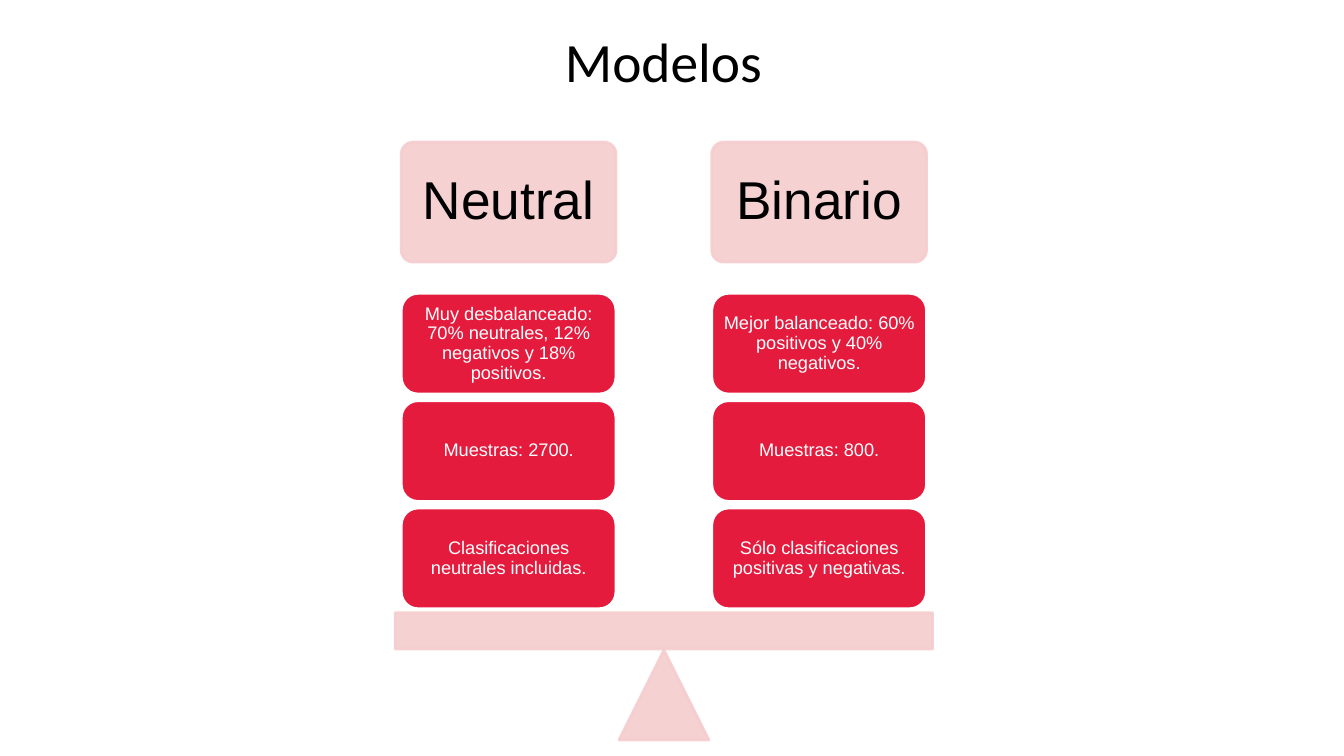
from lxml.etree import SubElement
from pptx import Presentation
from pptx.dml.color import RGBColor
from pptx.enum.shapes import MSO_SHAPE
from pptx.enum.text import MSO_ANCHOR, PP_ALIGN
from pptx.oxml.ns import qn
from pptx.util import Inches, Pt

PINK, RED, WHITE, BLACK = "F5CDCE", "E51B3E", "FFFFFF", "000000"
BLOCK_WIDTH = 2.13
ITEM_TOP, ITEM_STEP = 2.91, 1.065
COLUMNS = [
    (3.98, "Neutral", [
        "Muy desbalanceado: 70% neutrales, 12% negativos y 18% positivos.",
        "Muestras: 2700.",
        "Clasificaciones neutrales incluidas.",
    ]),
    (7.06, "Binario", [
        "Mejor balanceado: 60% positivos y 40% negativos.",
        "Muestras: 800.",
        "Sólo clasificaciones positivas y negativas.",
    ]),
]


def color(hex_string):
    return RGBColor.from_string(hex_string)


def write_text(shape, text, font="Arial", size=13, text_color=BLACK, inset=(0.05, 0.05)):
    frame = shape.text_frame
    frame.word_wrap = True
    frame.vertical_anchor = MSO_ANCHOR.MIDDLE
    frame.margin_left = frame.margin_right = Inches(inset[0])
    frame.margin_top = frame.margin_bottom = Inches(inset[1])
    paragraph = frame.paragraphs[0]
    paragraph.alignment = PP_ALIGN.CENTER
    paragraph.line_spacing = 0.9
    run = paragraph.add_run()
    run.text = text
    run.font.name = font
    run.font.size = Pt(size)
    run.font.color.rgb = color(text_color)


def add_block(slide, kind, left, top, width, height, fill=PINK, line=PINK, opacity=90):
    shape = slide.shapes.add_shape(
        kind, Inches(left), Inches(top), Inches(width), Inches(height))
    shape.shadow.inherit = False
    shape.fill.solid()
    shape.fill.fore_color.rgb = color(fill)
    shape.line.color.rgb = color(line)
    shape.line.width = Pt(2)
    if opacity < 100:
        for color_element in shape.element.spPr.iter(qn("a:srgbClr")):
            SubElement(color_element, qn("a:alpha"), val=str(opacity * 1000))
    return shape


def add_title(slide, text):
    title = slide.shapes.title
    title.left, title.top = Inches(2.71), Inches(0.3)
    title.width, title.height = Inches(7.74), Inches(0.69)
    write_text(title, text, font="Calibri", size=39.6, inset=(0.1, 0.05))


def add_header(slide, left, text):
    header = add_block(slide, MSO_SHAPE.ROUNDED_RECTANGLE, left, 1.41, BLOCK_WIDTH, 1.19)
    header.adjustments[0] = 0.1
    write_text(header, text, size=38, inset=(0.16, 0.16))


def add_item(slide, left, top, text):
    item = add_block(slide, MSO_SHAPE.ROUNDED_RECTANGLE, left, top, BLOCK_WIDTH, 1,
                     fill=RED, line=WHITE, opacity=100)
    write_text(item, text, text_color=WHITE)


def add_balance(slide):
    add_block(slide, MSO_SHAPE.ISOSCELES_TRIANGLE, 6.14, 6.45, 0.89, 0.89)
    add_block(slide, MSO_SHAPE.RECTANGLE, 3.92, 6.08, 5.33, 0.36)


def main():
    presentation = Presentation()
    presentation.slide_width = Inches(13.33)
    presentation.slide_height = Inches(7.5)
    slide = presentation.slides.add_slide(presentation.slide_layouts[5])
    add_title(slide, "Modelos")
    add_balance(slide)
    for left, heading, items in COLUMNS:
        add_header(slide, left, heading)
        for index, text in enumerate(items):
            add_item(slide, left, ITEM_TOP + index * ITEM_STEP, text)
    presentation.save("out.pptx")


main()
